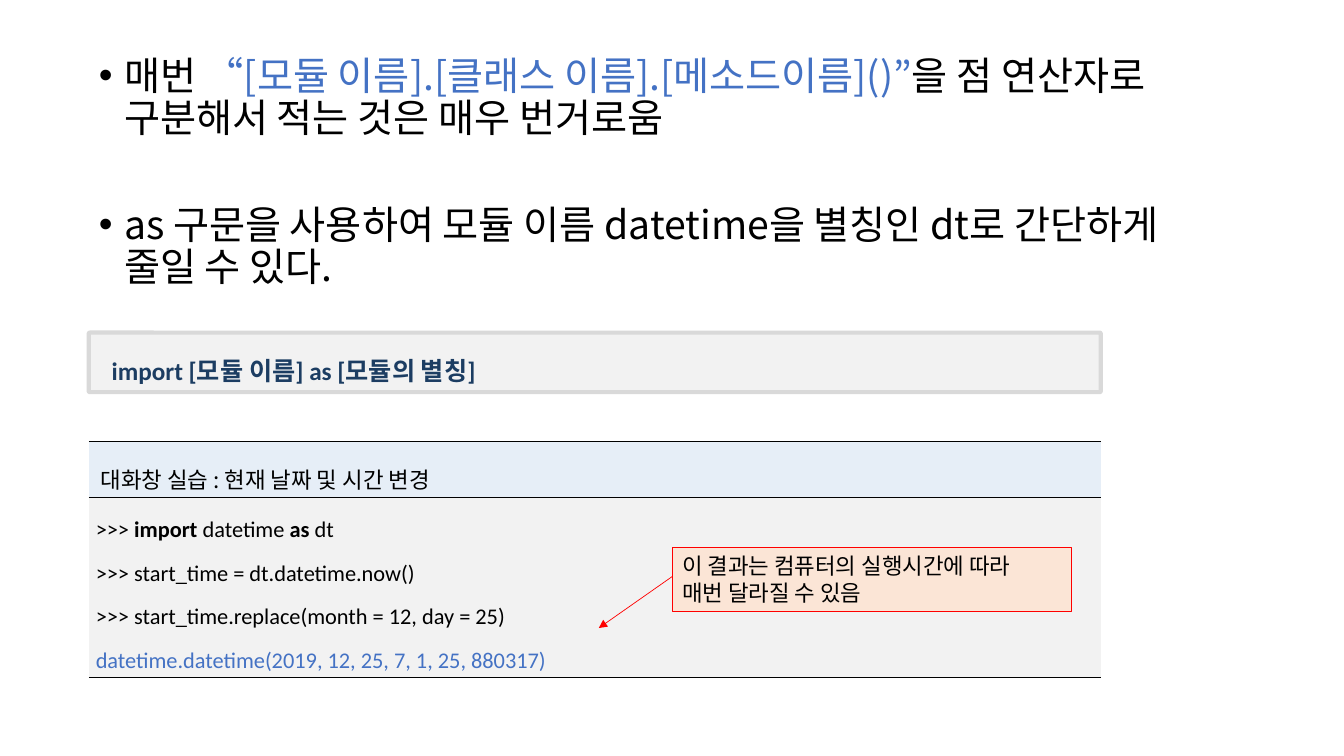
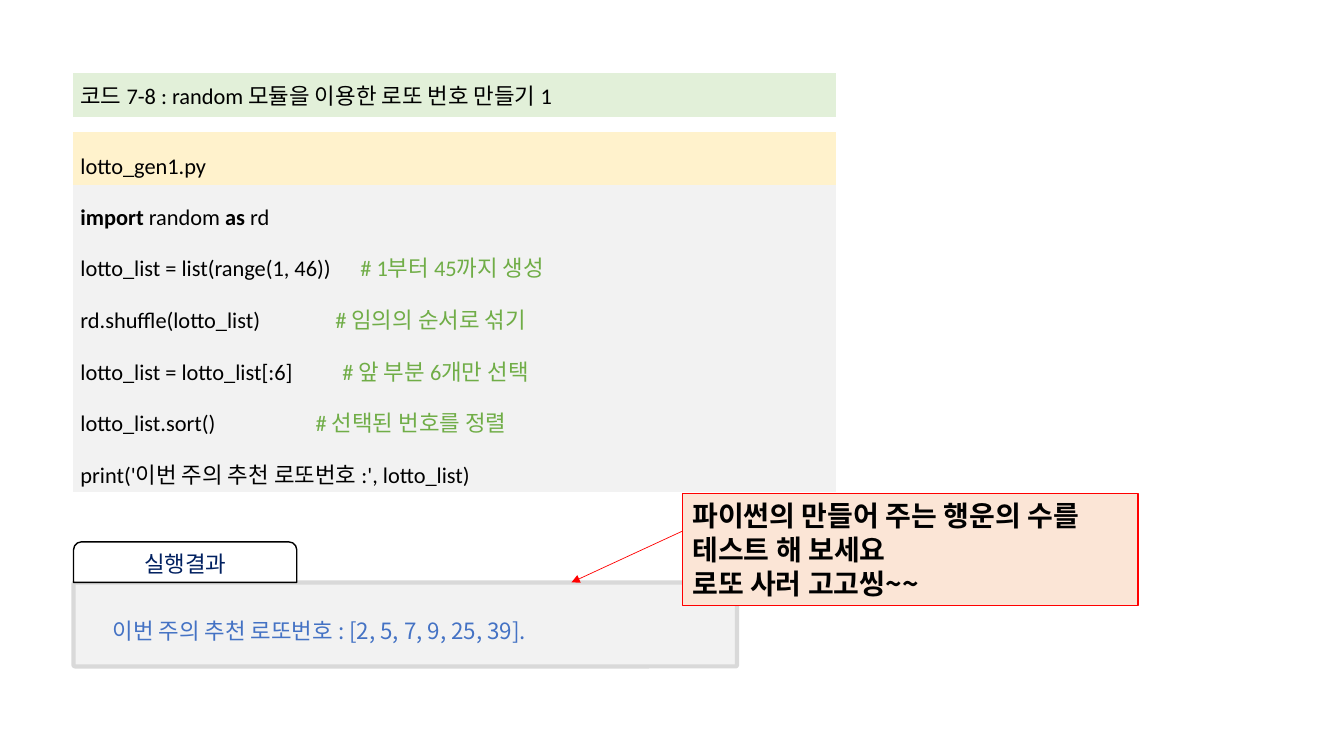
import lxml.etree
import pptx
import pptx.dml.color
import pptx.enum.shapes
import pptx.enum.text
import pptx.oxml.ns
import pptx.util

Pt = pptx.util.Pt
qn = pptx.oxml.ns.qn
SHAPE = pptx.enum.shapes.MSO_SHAPE
ALIGN = pptx.enum.text.PP_ALIGN
ANCHOR = pptx.enum.text.MSO_ANCHOR

KOREAN, LATIN = "Noto Sans CJK KR", "Calibri"
BLACK, WHITE, NAVY, NAVY_CODE = "000000", "FFFFFF", "002060", "1C3D62"
BLUE, GREEN, RED = "4472C4", "70AD47", "FF0000"
PANEL, PANEL_EDGE, PEACH = "F2F2F2", "D9D9D9", "FBE5D6"
HEAD_BLUE, HEAD_GREEN, HEAD_YELLOW = "E6EEF7", "E2F0D9", "FFF2CC"
NO_STYLE = "{2D5ABB26-0587-4C30-8999-92F81FD0307C}"


def rgb(value):
    """Turn a hex string into a colour."""
    return pptx.dml.color.RGBColor.from_string(value)


def bold(text):
    """Make a bold black piece of text."""
    return text, BLACK, True


def write(p, pieces, size, font=KOREAN, color=BLACK, spacing=None, align=None, tab=None):
    """Fill a paragraph with pieces, each a string or (text, colour, bold)."""
    if tab:
        tabs = lxml.etree.SubElement(p._p.get_or_add_pPr(), qn("a:tabLst"))
        lxml.etree.SubElement(tabs, qn("a:tab"), pos=str(Pt(tab)), algn="l")
    p.font.size, p.font.name = Pt(size), font
    if align is not None:
        p.alignment = align
    if spacing:
        p.line_spacing = spacing
    for piece in pieces:
        text, tint, strong = (piece, color, False) if isinstance(piece, str) else piece
        r = p.add_run()
        r.text = text
        r.font.color.rgb = rgb(tint)
        r.font.bold = strong


def write_lines(tf, lines, size, **style):
    """Write one paragraph per line into a text frame."""
    for i, pieces in enumerate(lines):
        p = tf.add_paragraph() if i else tf.paragraphs[0]
        write(p, pieces, size, **style)


def add_box(slide, kind, box, fill, line, width, corner=None):
    """Add a filled and outlined preset shape."""
    sp = slide.shapes.add_shape(kind, *map(Pt, box))
    sp.shadow.inherit = False
    sp.fill.solid()
    sp.fill.fore_color.rgb = rgb(fill)
    sp.line.color.rgb = rgb(line)
    sp.line.width = Pt(width)
    if corner is not None:
        sp.adjustments[0] = corner
    return sp


def add_panel(slide, box):
    """Add a grey panel with a thick pale edge."""
    add_box(slide, SHAPE.ROUNDED_RECTANGLE, box, PANEL, PANEL_EDGE, 3, 0.02)


def add_text(slide, box, pieces, size, **style):
    """Add a wrapping one-paragraph text box."""
    tf = slide.shapes.add_textbox(*map(Pt, box)).text_frame
    tf.word_wrap = True
    write(tf.paragraphs[0], pieces, size, **style)


def add_callout(slide, box, lines, size, start, end):
    """Add a peach note and the red arrow that leaves it."""
    tf = add_box(slide, SHAPE.RECTANGLE, box, PEACH, RED, 0.75).text_frame
    tf.word_wrap = True
    tf.vertical_anchor = ANCHOR.TOP
    write_lines(tf, lines, size, align=ALIGN.LEFT)
    arrow = slide.shapes.add_connector(
        pptx.enum.shapes.MSO_CONNECTOR.STRAIGHT, *map(Pt, start + end))
    arrow.line.color.rgb = rgb(RED)
    arrow.line.width = Pt(0.5)
    lxml.etree.SubElement(arrow.line._get_or_add_ln(), qn("a:tailEnd"), type="triangle")
    lxml.etree.SubElement(arrow._element.spPr, qn("a:effectLst"))


def add_code_table(slide, left, top, width, heights):
    """Add an unstyled one-column table and return its cells."""
    frame = slide.shapes.add_table(
        len(heights), 1, Pt(left), Pt(top), Pt(width), Pt(sum(heights)))
    table = frame.table
    table.first_row = table.horz_banding = False
    table._tbl.tblPr.find(qn("a:tableStyleId")).text = NO_STYLE
    for row, height in zip(table.rows, heights):
        row.height = Pt(height)
    cells = list(table.iter_cells())
    for cell in cells:
        cell.margin_left = cell.margin_right = Pt(5)
        cell.margin_top = cell.margin_bottom = Pt(1.4)
        cell.vertical_anchor = ANCHOR.MIDDLE
    return cells


def fill_cell(cell, fill):
    """Give a cell a solid fill."""
    cell.fill.solid()
    cell.fill.fore_color.rgb = rgb(fill)


def rule_cell(cell, top, bottom):
    """Draw black rules above and below a cell."""
    tcPr = cell._tc.get_or_add_tcPr()
    for i, (side, width) in enumerate((("a:lnT", top), ("a:lnB", bottom))):
        ln = lxml.etree.Element(qn(side), w=str(Pt(width)))
        solid = lxml.etree.SubElement(ln, qn("a:solidFill"))
        lxml.etree.SubElement(solid, qn("a:srgbClr"), val=BLACK)
        tcPr.insert(i, ln)


def add_bullets(slide, box, bullets, gap):
    """Place the body placeholder and fill it with bullets."""
    body = slide.placeholders[1]
    body.left, body.top, body.width, body.height = map(Pt, box)
    tf = body.text_frame
    tf.auto_size = pptx.enum.text.MSO_AUTO_SIZE.NONE
    write_lines(tf, bullets, 28, spacing=0.9)
    for i, p in enumerate(tf.paragraphs):
        p.space_before = Pt(gap if i else 10)
        pPr = p._p.get_or_add_pPr()
        pPr.set("marL", str(Pt(18)))
        pPr.set("indent", str(Pt(-18)))


def build_alias_slide(prs):
    """Build the slide on import aliases."""
    slide = prs.slides.add_slide(prs.slide_layouts[1])
    title = slide.shapes.title._element
    title.getparent().remove(title)
    left, width = 63.4, 722.9
    add_bullets(slide, (left, 36.7, 828, 342.7), [
        ["매번 ", ("“[모듈 이름].[클래스 이름].[메소드이름]()”", BLUE, False),
         "을 점 연산자로 구분해서 적는 것은 매우 번거로움"],
        ["as 구문을 사용하여 모듈 이름 datetime을 별칭인 dt로 간단하게 줄일 수 있다."],
    ], 46)

    head, code = add_code_table(slide, left, 315.4, width, (40, 127.5))
    fill_cell(head, HEAD_BLUE)
    rule_cell(head, 1, 0.28)
    write_lines(head.text_frame, [[" 대화창 실습 : 현재 날짜 및 시간 변경"]], 16,
                spacing=1.6, align=ALIGN.JUSTIFY)
    fill_cell(code, PANEL)
    rule_cell(code, 0.28, 0.28)
    write_lines(code.text_frame, [
        [">>> ", bold("import"), " datetime ", bold("as"), " dt"],
        [">>> start_time = dt.datetime.now()"],
        [">>> start_time.replace(month = 12, day = 25)"],
        [("datetime.datetime(2019, 12, 25, 7, 1, 25, 880317)", BLUE, False)],
    ], 16, font=LATIN, spacing=1.6, align=ALIGN.JUSTIFY)

    add_panel(slide, (left, 237.6, width, 42.5))
    add_text(slide, (72.7, 237.6, 687, 38), [("import [모듈 이름] as [모듈의 별칭]", NAVY_CODE, True)],
             18, font=LATIN, spacing=1.6, align=ALIGN.JUSTIFY)
    add_callout(slide, (480.2, 391, 285, 46),
                [["이 결과는 컴퓨터의 실행시간에 따라"], ["매번 달라질 수 있음"]],
                16, (480.2, 411.8), (427.7, 448.6))


def build_lotto_slide(prs):
    """Build the slide with the lotto number program."""
    slide = prs.slides.add_slide(prs.slide_layouts[6])
    left = 52.5
    caption, gap, name, code = add_code_table(slide, left, 52.5, 545, (31, 11, 38, 219))
    for cell, fill in ((caption, HEAD_GREEN), (name, HEAD_YELLOW), (code, PANEL)):
        fill_cell(cell, fill)
    lxml.etree.SubElement(gap.text_frame.paragraphs[0]._p, qn("a:endParaRPr"), sz="400")
    write_lines(caption.text_frame, [["코드 7-8 : random 모듈을 이용한 로또 번호 만들기 1"]],
                16, font=LATIN)
    style = dict(font=LATIN, spacing=1.6, align=ALIGN.JUSTIFY)
    write_lines(name.text_frame, [["lotto_gen1.py"]], 16, **style)
    tf = code.text_frame
    write_lines(tf, [[bold("import"), " random ", bold("as "), "rd"]], 16, **style)
    for statement, comment, tab in (
        ("lotto_list = list(range(1, 46))", "# 1부터 45까지 생성", 200),
        ("rd.shuffle(lotto_list)", "# 임의의 순서로 섞기", 182),
        ("lotto_list = lotto_list[:6]", "# 앞 부분 6개만 선택", 187),
        ("lotto_list.sort()", "# 선택된 번호를 정렬", 168),
    ):
        write(tf.add_paragraph(), [statement + "\t", (comment, GREEN, False)], 16,
              tab=tab, **style)
    write(tf.add_paragraph(), ["print('이번 주의 추천 로또번호 :', lotto_list)"], 16, **style)

    add_panel(slide, (left, 416, 474, 60))
    tag = add_box(slide, SHAPE.ROUND_2_SAME_RECTANGLE, (left, 387, 159.5, 29),
                  WHITE, BLACK, 1, 0.2)
    write_lines(tag.text_frame, [["실행결과"]], 16, color=NAVY, align=ALIGN.CENTER)
    add_text(slide, (73.4, 427.7, 431, 30), ["이번 주의 추천 로또번호 : [2, 5, 7, 9, 25, 39]."],
             16, color=BLUE, spacing=1.5)
    add_callout(slide, (487.4, 352.8, 325.5, 80),
                [[bold("파이썬의 만들어 주는 행운의 수를")], [bold("테스트 해 보세요")],
                 [bold("로또 사러 고고씽~~")]],
                20, (487.4, 379.4), (408.2, 416))


def main():
    """Build and save the presentation."""
    prs = pptx.Presentation()
    prs.slide_width, prs.slide_height = Pt(960), Pt(540)
    build_alias_slide(prs)
    build_lotto_slide(prs)
    prs.save("out.pptx")


if __name__ == "__main__":
    main()
